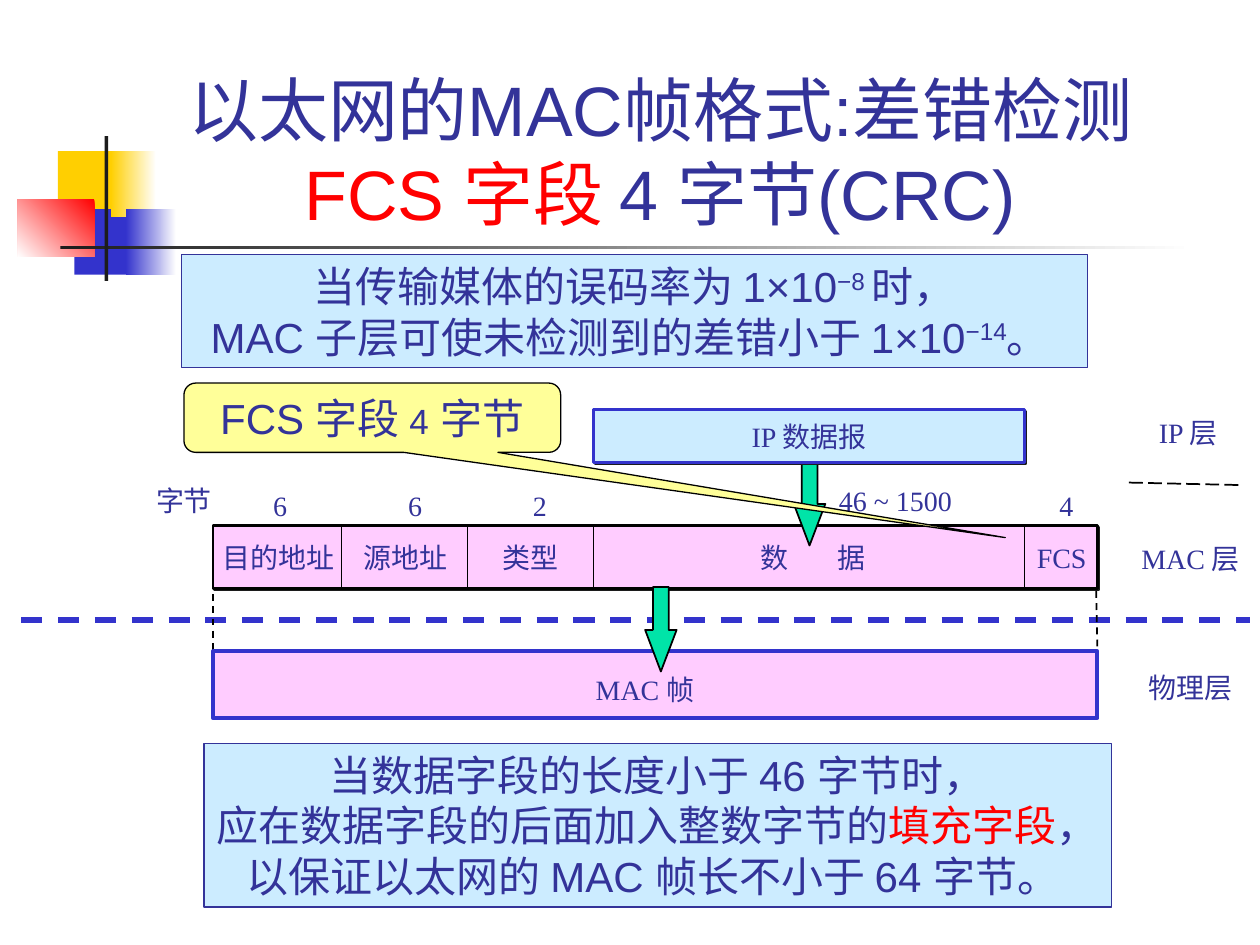
from lxml import etree
from pptx import Presentation
from pptx.dml.color import RGBColor
from pptx.enum.dml import MSO_LINE
from pptx.enum.shapes import MSO_CONNECTOR, MSO_SHAPE
from pptx.enum.text import MSO_ANCHOR, MSO_AUTO_SIZE, PP_ALIGN
from pptx.oxml import parse_xml
from pptx.oxml.ns import nsdecls, qn
from pptx.util import Inches, Pt

RECT = MSO_SHAPE.RECTANGLE
DOWN_ARROW = MSO_SHAPE.DOWN_ARROW
CALLOUT = MSO_SHAPE.ROUNDED_RECTANGULAR_CALLOUT
STRAIGHT = MSO_CONNECTOR.STRAIGHT
DASH, LONG_DASH = MSO_LINE.DASH, MSO_LINE.LONG_DASH
CENTER, LEFT = PP_ALIGN.CENTER, PP_ALIGN.LEFT
NO_FIT = MSO_AUTO_SIZE.NONE

INK, BLUE, RED, BLACK = "333399", "3333CC", "FF0000", "000000"
PINK, SKY, GREEN, DARK = "FFCCFF", "CCECFF", "00E4A8", "1C1C1C"
SERIF, SANS = "Times New Roman", "Arial"
rgb = RGBColor.from_string

prs = Presentation()
prs.slide_width, prs.slide_height = Inches(10), Inches(7.5)
s = prs.slides.add_slide(prs.slide_layouts[5])


def add_box(kind, x, y, w, h, fill, line=None, width=1):
    sp = s.shapes.add_shape(kind, Inches(x), Inches(y), Inches(w), Inches(h))
    sp.shadow.inherit = False
    sp.fill.solid()
    sp.fill.fore_color.rgb = rgb(fill)
    if line:
        sp.line.color.rgb = rgb(line)
        sp.line.width = Pt(width)
    else:
        sp.line.fill.background()
    return sp


def write(sp, paragraphs, font, size, align=CENTER, wrap=False, anchor=MSO_ANCHOR.TOP):
    """Each run is (text, overrides); overrides may hold color, size and raised."""
    tf = sp.text_frame
    tf.word_wrap, tf.auto_size, tf.vertical_anchor = wrap, NO_FIT, anchor
    for i, runs in enumerate(paragraphs):
        p = tf.add_paragraph() if i else tf.paragraphs[0]
        p.alignment = align
        for text, style in runs:
            if text == "\n":
                p.add_line_break()
                continue
            r = p.add_run()
            r.text = text
            r.font.name = font
            r.font.size = Pt(style.get("size", size))
            r.font.color.rgb = rgb(style.get("color", INK))
            if style.get("raised"):
                r.font._element.set("baseline", "30000")


# Corner ornament: solid blocks, then blocks fading to white
for x, y, w, h, color in [(0.46, 1.2, 0.48, 0.52, "FFCF01"), (0.59, 1.66, 0.46, 0.52, BLUE)]:
    add_box(RECT, x, y, w, h, color)
for x, y, w, h, color, angle in [
    (0.88, 1.2, 0.36, 0.52, "FFCF01", 0),
    (1, 1.66, 0.4, 0.52, BLUE, 0),
    (0.14, 1.58, 0.61, 0.46, RED, 225),
    (0.48, 1.95, 9, 0.03, DARK, 0),
]:
    sp = add_box(RECT, x, y, w, h, color)
    sp.fill.gradient()
    sp.fill.gradient_angle = angle
    for stop, stop_color in zip(sp.fill.gradient_stops, (color, "FFFFFF")):
        stop.color.rgb = rgb(stop_color)
        stop.position = 0 if stop_color == color else 1
add_box(RECT, 0.83, 1.08, 0.03, 1.15, DARK)

# Title
title = s.shapes.title
title.left, title.top, title.width, title.height = Inches(0.98), Inches(0.36), Inches(8.52), Inches(1.55)
write(title, [[("以太网的MAC帧格式:差错检测", {}), ("\n", {}),
               ("FCS 字段 ", {"color": RED}), ("4 字节(CRC)", {})]],
      SANS, 40, wrap=True, anchor=MSO_ANCHOR.BOTTOM)

# Layer boundary, frames and arrows
boundary = (0.17, 4.92, 9.92, 4.92, BLUE, 3, DASH)
row_top, row_bottom = 4.17, 4.67
dividers = [(x, row_top, x, row_bottom, BLACK, 1, None) for x in (2.71, 3.71, 4.71, 8.13)]
guides = [
    (1.69, 4.62, 1.69, 5.18, BLACK, 1, DASH),
    (8.7, 4.69, 8.71, 5.17, BLACK, 1, DASH),
    (8.96, 3.83, 9.86, 3.85, BLACK, 1, LONG_DASH),
]
mac_fields = add_box(RECT, 1.69, row_top, 7.02, row_bottom - row_top, PINK, BLACK, 1.5)
lines = [boundary] + dividers + guides
for x1, y1, x2, y2, color, width, dash in lines:
    c = s.shapes.add_connector(STRAIGHT, Inches(x1), Inches(y1), Inches(x2), Inches(y2))
    c.line.color.rgb = rgb(color)
    c.line.width = Pt(width)
    if dash:
        c.line.dash_style = dash
    etree.SubElement(c._element.spPr, qn("a:effectLst"))

add_box(RECT, 1.69, 5.17, 7.02, 0.53, PINK, BLUE, 2.25)
for x, y in [(5.12, 4.66), (6.3, 3.66)]:
    sp = add_box(DOWN_ARROW, x, y, 0.25, 0.67, GREEN, BLACK)
    sp.adjustments[0], sp.adjustments[1] = 0.5, 1.32
datagram = add_box(RECT, 4.71, 3.25, 3.42, 0.42, SKY, BLUE, 1.5)
write(datagram, [[("IP 数据报", {})]], SERIF, 16, anchor=MSO_ANCHOR.MIDDLE)

# Hard offset shadow on the field row and the datagram
for sp in (mac_fields, datagram):
    effects = sp._element.spPr.find(qn("a:effectLst"))
    effects.append(parse_xml(
        f'<a:outerShdw {nsdecls("a")} blurRad="0" dist="17780" dir="2700000" algn="ctr" rotWithShape="0">'
        f'<a:srgbClr val="{DARK}"/></a:outerShdw>'))

# Labels: layers, field names, field lengths
field_y, length_y = 4.24, 3.83
labels = [
    ("MAC 帧", 4.63, 5.29, 1.03),
    ("物理层", 9.02, 5.27, 0.86),
    ("MAC 层", 8.96, 4.25, 1.03),
    ("IP 层", 9.1, 3.25, 0.73),
    ("目的地址", 1.67, field_y, 1.09),
    ("源地址", 2.79, field_y, 0.86),
    ("类型", 3.89, field_y, 0.64),
    ("数\t据", 5.94, field_y, 1.3),
    ("FCS", 8.13, field_y, 0.59),
    ("6", 2.07, length_y, 0.31),
    ("6", 3.14, length_y, 0.31),
    ("2", 4.13, length_y, 0.31),
    ("4", 8.31, length_y, 0.31),
    ("字节", 1.14, 3.79, 0.64),
    ("46 ~ 1500", 6.56, 3.79, 1.09),
]
for text, x, y, w in labels:
    sp = s.shapes.add_textbox(Inches(x), Inches(y), Inches(w), Inches(0.36))
    tabbed = "\t" in text
    if tabbed:
        pPr = sp.text_frame.paragraphs[0]._p.get_or_add_pPr()
        tabs = etree.SubElement(pPr, qn("a:tabLst"))
        etree.SubElement(tabs, qn("a:tab"), pos=str(Inches(0.61)), algn="l")
    write(sp, [[(text, {})]], SERIF, 16, align=LEFT, wrap=tabbed)

# Callout pointing at the FCS field
callout = add_box(CALLOUT, 1.46, 3.04, 2.99, 0.55, "FFFF99", BLACK, 0.75)
for i, value in enumerate((1.68, 1.73, 0.17)):
    callout.adjustments[i] = value
write(callout, [[("FCS 字段 ", {}), ("4", {"size": 20}), (" 字节", {})]], SANS, 24, wrap=True)

# Notes above and below the diagram
raised = {"raised": True}
error_rate = [
    [("当传输媒体的误码率为 1×10", {}), ("−8 ", raised), ("时，", {})],
    [("MAC 子层可使未检测到的差错小于 1×10", {}), ("−14", raised), ("。 ", {})],
]
padding = [
    [("当数据字段的长度小于 46 字节时，", {})],
    [("应在数据字段的后面加入整数字节的", {}), ("填充字段", {"color": RED}), ("，", {})],
    [("以保证以太网的 MAC 帧长不小于 64 字节。 ", {})],
]
for x, y, w, h, paragraphs in [(1.44, 2.02, 7.19, 0.9, error_rate), (1.62, 5.9, 7.2, 1.3, padding)]:
    write(add_box(RECT, x, y, w, h, SKY, INK, 0.75), paragraphs, SANS, 24)

prs.save("out.pptx")
